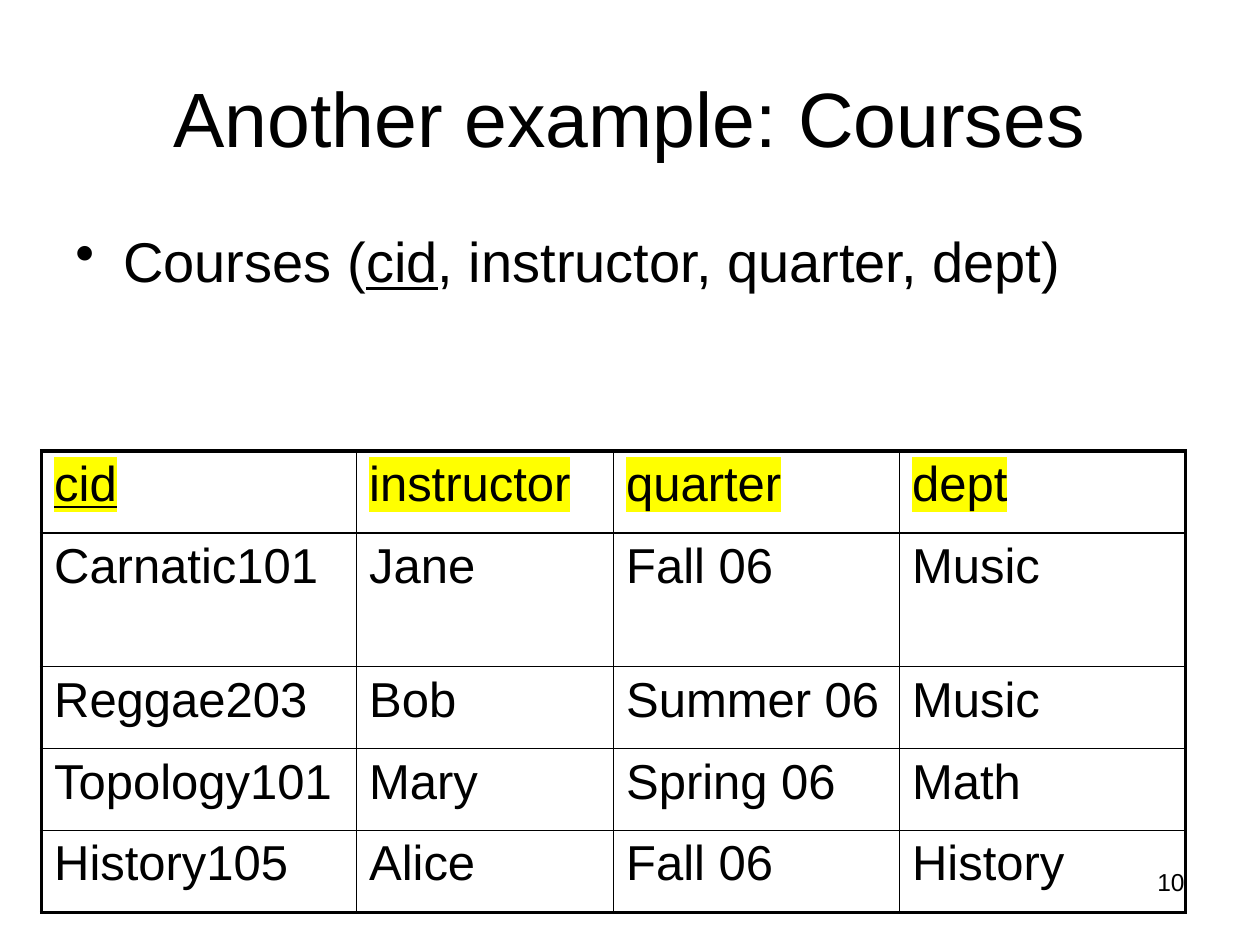
from dataclasses import dataclass

from lxml import etree
from pptx import Presentation, util as u
from pptx.dml.color import RGBColor
from pptx.enum import text
from pptx.oxml import ns


@dataclass(frozen=True)
class Theme:
    font: str = "Arial"
    ink: str = "000000"
    highlight: str = "FFFF00"
    title: float = 44
    body: float = 32
    cell: float = 28
    number: float = 14
    outer_line: float = 2.25
    inner_line: float = 1


@dataclass(frozen=True)
class Piece:
    text: str
    underline: bool = False
    highlight: bool = False


@dataclass(frozen=True)
class Box:
    left: float
    top: float
    width: float
    height: float


THEME = Theme()
KEY = "cid"
FIELDS = [KEY, "instructor", "quarter", "dept"]
COURSES = [
    ["Carnatic101", "Jane", "Fall 06", "Music"],
    ["Reggae203", "Bob", "Summer 06", "Music"],
    ["Topology101", "Mary", "Spring 06", "Math"],
    ["History105", "Alice", "Fall 06", "History"],
]
COLUMN_WIDTHS = [2.5, 2.04, 2.27, 2.27]
ROW_HEIGHTS = [0.65, 1.06, 0.65, 0.65, 0.65]


def sub(parent, tag: str, **attributes: str):
    return etree.SubElement(parent, ns.qn(tag), attributes)


def write(p, pieces: list[Piece], size: float, align=text.PP_ALIGN.LEFT) -> None:
    p.alignment = align
    p.font.name = THEME.font
    p.font.size = u.Pt(size)
    p.font.color.rgb = RGBColor.from_string(THEME.ink)
    for piece in pieces:
        r = p.add_run()
        r.text = piece.text
        if piece.underline:
            r.font.underline = True
        if piece.highlight:
            mark = sub(r._r.get_or_add_rPr(), "a:highlight")
            sub(mark, "a:srgbClr", val=THEME.highlight)


def add_text(s, box: Box, pieces: list[Piece], size: float,
             align=text.PP_ALIGN.LEFT, anchor=text.MSO_ANCHOR.TOP):
    sp = s.shapes.add_textbox(u.Inches(box.left), u.Inches(box.top),
                              u.Inches(box.width), u.Inches(box.height))
    tf = sp.text_frame
    tf.word_wrap = True
    tf.vertical_anchor = anchor
    p = tf.paragraphs[0]
    write(p, pieces, size, align)
    return p


def add_bullet(p, indent: float) -> None:
    pPr = p._p.get_or_add_pPr()
    pPr.set("marL", str(u.Inches(indent)))
    pPr.set("indent", str(-u.Inches(indent)))
    bullet = etree.Element(ns.qn("a:buChar"), char="•")
    pPr.find(ns.qn("a:defRPr")).addprevious(bullet)


def set_borders(cell, outer: dict[str, bool]) -> None:
    tcPr = cell._tc.get_or_add_tcPr()
    for position, (tag, is_outer) in enumerate(outer.items()):
        width = THEME.outer_line if is_outer else THEME.inner_line
        line = etree.Element(ns.qn(tag), w=str(u.Pt(width)))
        sub(sub(line, "a:solidFill"), "a:srgbClr", val=THEME.ink)
        tcPr.insert(position, line)


def add_course_table(s, box: Box) -> None:
    rows = [[Piece(name, name == KEY, True) for name in FIELDS]]
    rows += [[Piece(value) for value in course] for course in COURSES]
    table = s.shapes.add_table(len(rows), len(FIELDS), u.Inches(box.left), u.Inches(box.top),
                               u.Inches(box.width), u.Inches(box.height)).table
    table.first_row = table.horz_banding = False
    for column, width in zip(table.columns, COLUMN_WIDTHS):
        column.width = u.Inches(width)
    last_row, last_column = len(rows) - 1, len(FIELDS) - 1
    for i, pieces in enumerate(rows):
        table.rows[i].height = u.Inches(ROW_HEIGHTS[i])
        for j, piece in enumerate(pieces):
            cell = table.cell(i, j)
            cell.fill.background()
            write(cell.text_frame.paragraphs[0], [piece], THEME.cell)
            set_borders(cell, {"a:lnL": j == 0, "a:lnR": j == last_column,
                               "a:lnT": i == 0, "a:lnB": i == last_row})


def main() -> None:
    prs = Presentation()
    prs.slide_width, prs.slide_height = u.Inches(10), u.Inches(7.5)
    s = prs.slides.add_slide(prs.slide_layouts[6])
    add_text(s, Box(0.5, 0.3, 9, 1.25), [Piece("Another example: Courses")],
             THEME.title, text.PP_ALIGN.CENTER, text.MSO_ANCHOR.MIDDLE)
    schema = [Piece("Courses ("), Piece(KEY, underline=True),
              Piece(", " + ", ".join(FIELDS[1:]) + ")")]
    p = add_text(s, Box(0.5, 1.75, 9.17, 0.92), schema, THEME.body)
    p.space_before = u.Pt(0.2 * THEME.body)
    add_bullet(p, 0.38)
    add_course_table(s, Box(0.33, 3.58, sum(COLUMN_WIDTHS), sum(ROW_HEIGHTS)))
    add_text(s, Box(7.17, 6.83, 2.33, 0.52), [Piece("10")], THEME.number, text.PP_ALIGN.RIGHT)
    prs.save("out.pptx")


if __name__ == "__main__":
    main()
